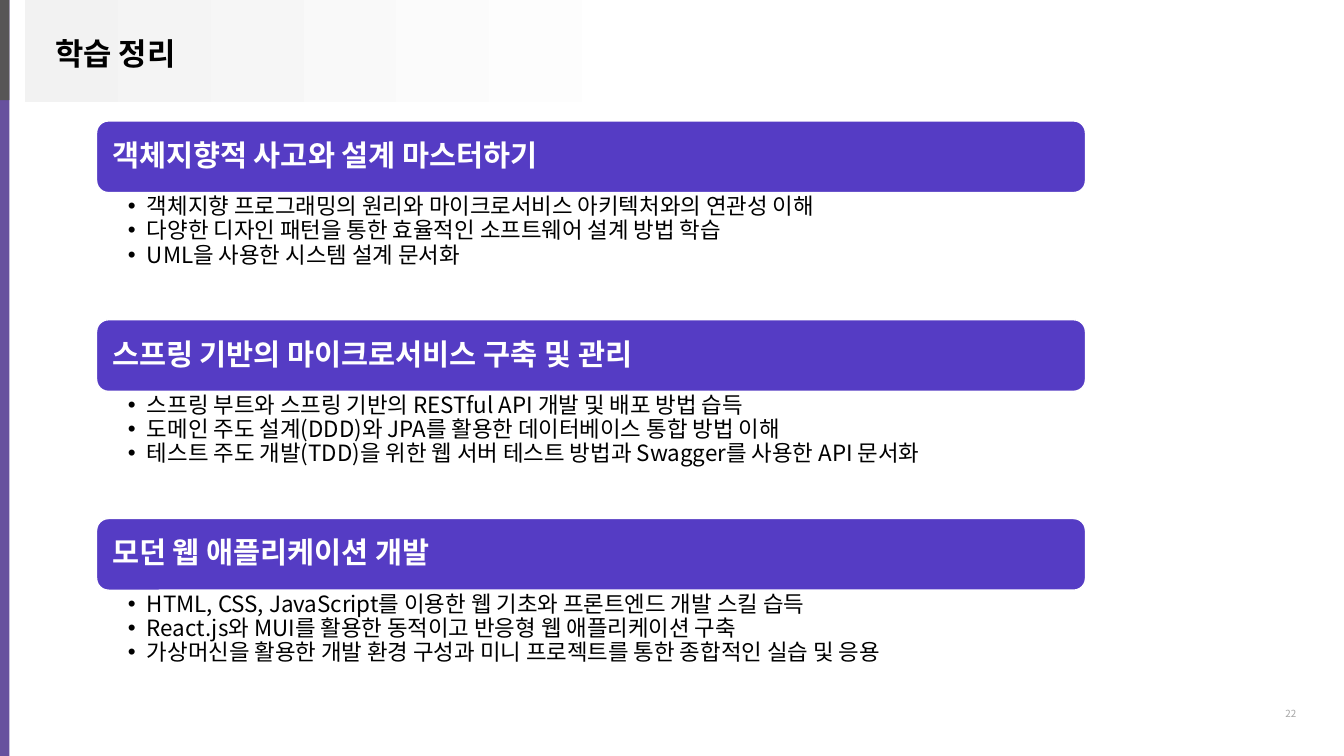
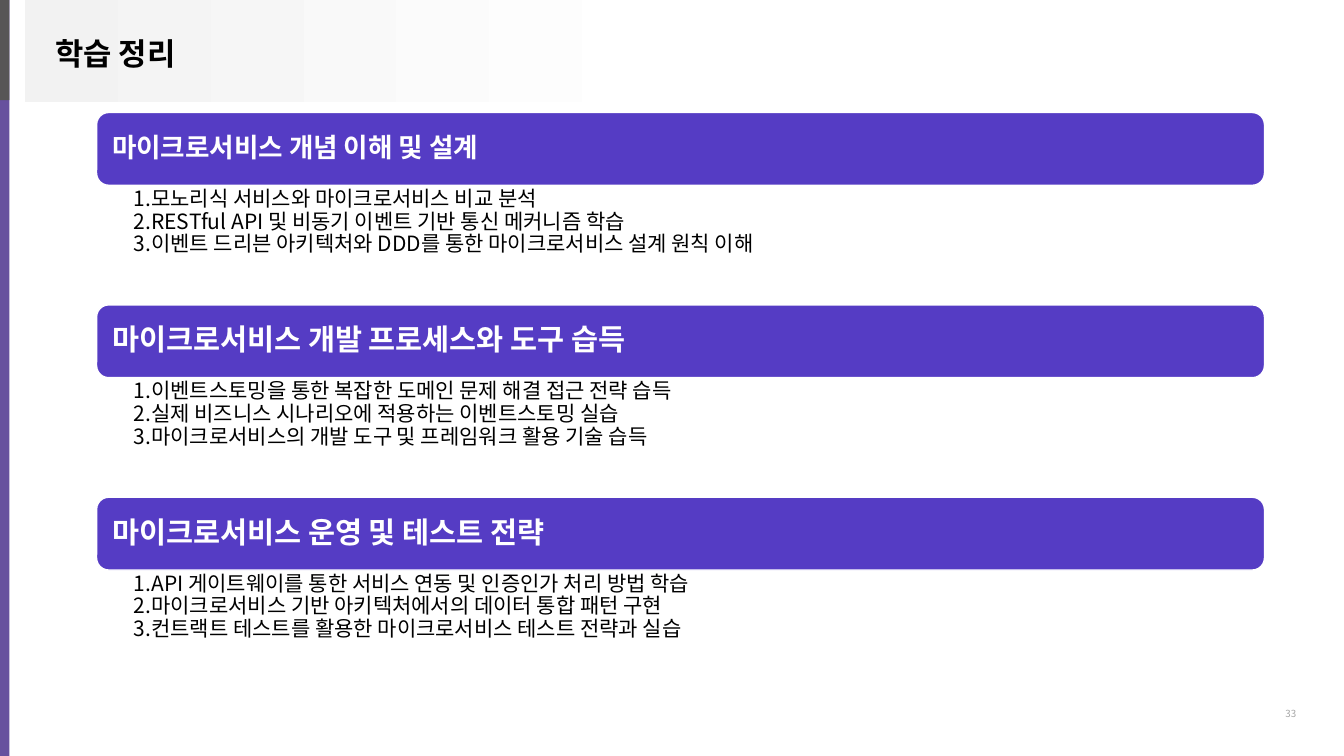
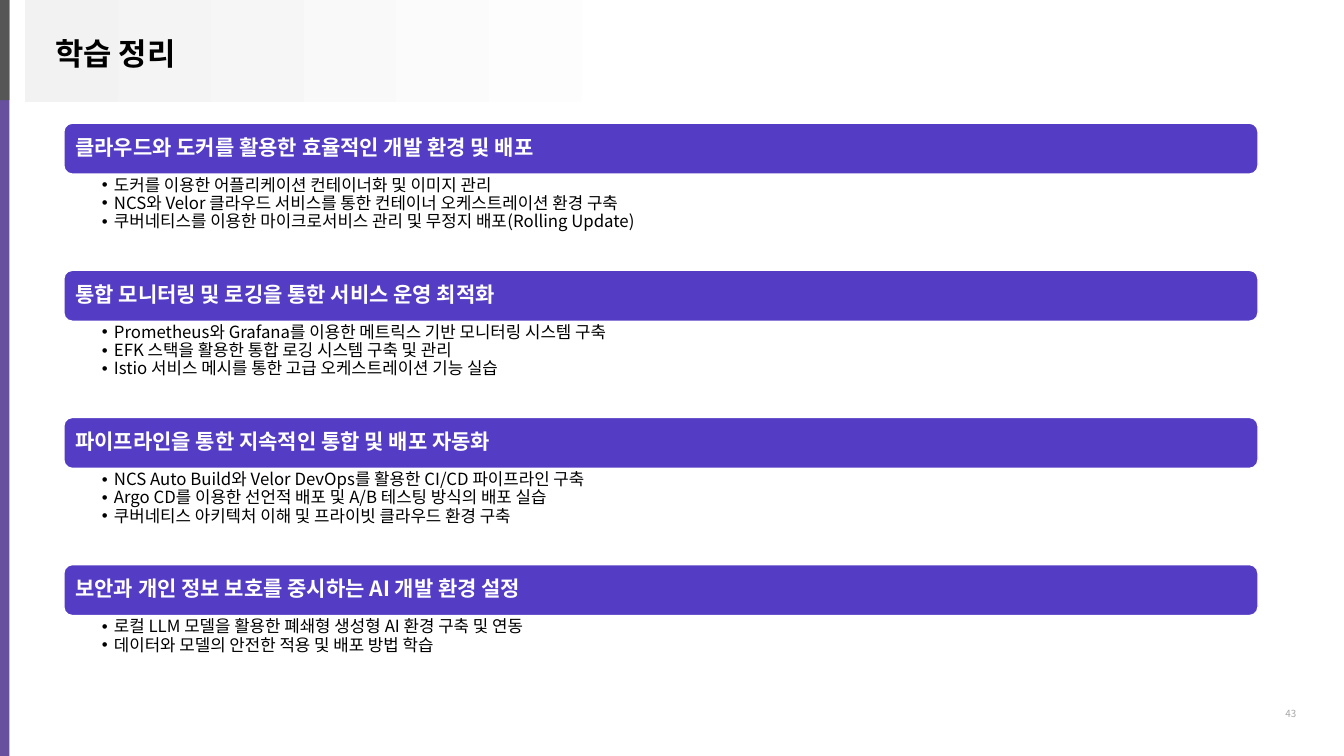
from pptx import Presentation
from pptx.dml.color import RGBColor
from pptx.enum import shapes, text
from pptx.oxml.ns import qn
from pptx.util import Pt
from lxml import etree

FONT = "Noto Sans CJK KR"
PURPLE, SIDE_PURPLE, SIDE_GREY = "553CC4", "67519E", "575656"
WHITE, PALE, BLACK, PAGE_GREY = "FFFFFF", "F2F2F2", "000000", "A6A6A6"
TITLE = "학습 정리"
DOT = ("buChar", "char", "•")
NUMBER = ("buAutoNum", "type", "arabicPeriod")

# Content: each section is (heading, heading size, points); lengths in points
SLIDES = [
    dict(page="22", left=69, top=86.4, width=706.4, band=51.2, pitch=142,
         heading_inset=8.6, point_inset=22.4, hang=13.6, size=16, bullet=DOT,
         sections=[
             ("객체지향적 사고와 설계 마스터하기", 21, [
                 "객체지향 프로그래밍의 원리와 마이크로서비스 아키텍처와의 연관성 이해",
                 "다양한 디자인 패턴을 통한 효율적인 소프트웨어 설계 방법 학습",
                 "UML을 사용한 시스템 설계 문서화"]),
             ("스프링 기반의 마이크로서비스 구축 및 관리", 21, [
                 "스프링 부트와 스프링 기반의 RESTful API 개발 및 배포 방법 습득",
                 "도메인 주도 설계(DDD)와 JPA를 활용한 데이터베이스 통합 방법 이해",
                 "테스트 주도 개발(TDD)을 위한 웹 서버 테스트 방법과 Swagger를 사용한 API 문서화"]),
             ("모던 웹 애플리케이션 개발", 21, [
                 "HTML, CSS, JavaScript를 이용한 웹 기초와 프론트엔드 개발 스킬 습득",
                 "React.js와 MUI를 활용한 동적이고 반응형 웹 애플리케이션 구축",
                 "가상머신을 활용한 개발 환경 구성과 미니 프로젝트를 통한 종합적인 실습 및 응용"]),
         ]),
    dict(page="33", left=69, top=80.4, width=834.2, band=52, pitch=137.4,
         heading_inset=8.6, point_inset=26.6, hang=8.6, size=15, bullet=NUMBER,
         sections=[
             ("마이크로서비스 개념 이해 및 설계", 19, [
                 "모노리식 서비스와 마이크로서비스 비교 분석",
                 "RESTful API 및 비동기 이벤트 기반 통신 메커니즘 학습",
                 "이벤트 드리븐 아키텍처와 DDD를 통한 마이크로서비스 설계 원칙 이해"]),
             ("마이크로서비스 개발 프로세스와 도구 습득", 21, [
                 "이벤트스토밍을 통한 복잡한 도메인 문제 해결 접근 전략 습득",
                 "실제 비즈니스 시나리오에 적용하는 이벤트스토밍 실습",
                 "마이크로서비스의 개발 도구 및 프레임워크 활용 기술 습득"]),
             ("마이크로서비스 운영 및 테스트 전략", 21, [
                 "API 게이트웨이를 통한 서비스 연동 및 인증인가 처리 방법 학습",
                 "마이크로서비스 기반 아키텍처에서의 데이터 통합 패턴 구현",
                 "컨트랙트 테스트를 활용한 마이크로서비스 테스트 전략과 실습"]),
         ]),
    dict(page="43", left=45.6, top=88, width=853, band=36.4, pitch=105.1,
         heading_inset=6.5, point_inset=27.2, hang=8.6, size=12, bullet=DOT,
         sections=[
             ("클라우드와 도커를 활용한 효율적인 개발 환경 및 배포", 15, [
                 "도커를 이용한 어플리케이션 컨테이너화 및 이미지 관리",
                 "NCS와 Velor 클라우드 서비스를 통한 컨테이너 오케스트레이션 환경 구축",
                 "쿠버네티스를 이용한 마이크로서비스 관리 및 무정지 배포(Rolling Update)"]),
             ("통합 모니터링 및 로깅을 통한 서비스 운영 최적화", 15, [
                 "Prometheus와 Grafana를 이용한 메트릭스 기반 모니터링 시스템 구축",
                 "EFK 스택을 활용한 통합 로깅 시스템 구축 및 관리",
                 "Istio 서비스 메시를 통한 고급 오케스트레이션 기능 실습"]),
             ("파이프라인을 통한 지속적인 통합 및 배포 자동화", 15, [
                 "NCS Auto Build와 Velor DevOps를 활용한 CI/CD 파이프라인 구축",
                 "Argo CD를 이용한 선언적 배포 및 A/B 테스팅 방식의 배포 실습",
                 "쿠버네티스 아키텍처 이해 및 프라이빗 클라우드 환경 구축"]),
             ("보안과 개인 정보 보호를 중시하는 AI 개발 환경 설정", 15, [
                 "로컬 LLM 모델을 활용한 폐쇄형 생성형 AI 환경 구축 및 연동",
                 "데이터와 모델의 안전한 적용 및 배포 방법 학습"]),
         ]),
]


def color(value):
    return RGBColor.from_string(value)


def add_block(slide, box, fill=None, line=None, kind="RECTANGLE"):
    shape = slide.shapes.add_shape(getattr(shapes.MSO_SHAPE, kind), *map(Pt, box))
    shape.shadow.inherit = False
    if fill:
        shape.fill.solid()
        shape.fill.fore_color.rgb = color(fill)
    if line:
        shape.line.color.rgb = color(line)
        shape.line.width = Pt(1)
    else:
        shape.line.fill.background()
    return shape


def add_bullet(paragraph, bullet, hang):
    tag, attribute, value = bullet
    properties = paragraph._p.get_or_add_pPr()
    properties.set("marL", str(Pt(hang)))
    properties.set("indent", str(-Pt(hang)))
    if bullet == DOT:
        etree.SubElement(properties, qn("a:buFont")).set("typeface", "Arial")
    etree.SubElement(properties, qn(f"a:{tag}")).set(attribute, value)


def write(shape, lines, size, ink, bold=False, align="LEFT", anchor="TOP",
          margins=(7.2, 3.6), spacing=None, bullet=None, hang=0):
    frame = shape.text_frame
    frame.word_wrap = True
    frame.vertical_anchor = text.MSO_ANCHOR[anchor]
    frame.margin_left = frame.margin_right = Pt(margins[0])
    frame.margin_top = frame.margin_bottom = Pt(margins[1])
    frame.text = "\n".join(lines)
    for paragraph in frame.paragraphs:
        paragraph.alignment = text.PP_ALIGN[align]
        if spacing:
            paragraph.line_spacing = spacing
        if bullet:
            add_bullet(paragraph, bullet, hang)
        font = paragraph.font
        font.size, font.bold, font.name = Pt(size), bold, FONT
        font.color.rgb = color(ink)
        # Korean glyphs use the East Asian typeface
        defaults = paragraph._p.pPr.find(qn("a:defRPr"))
        etree.SubElement(defaults, qn("a:ea")).set("typeface", FONT)


def add_text(slide, box, lines, size, ink, **style):
    write(slide.shapes.add_textbox(*map(Pt, box)), lines, size, ink, **style)


def add_frame(slide, page):
    # Side bars, fading title band, title and page number
    add_block(slide, (0, 0, 6.8, 540), SIDE_PURPLE)
    add_block(slide, (0, 0, 6.8, 71.6), SIDE_GREY)
    fill = add_block(slide, (18, 0, 761, 72.7)).fill
    fill.gradient()
    fill.gradient_angle = 180
    for stop, (position, shade) in zip(fill.gradient_stops, [(0.39, WHITE), (1, PALE)]):
        stop.position = position
        stop.color.rgb = color(shade)
    add_text(slide, (32.4, 20.9, 381.6, 35), [TITLE], 22, BLACK, bold=True)
    add_text(slide, (892, 501.8, 60, 16), [page], 7, PAGE_GREY, align="CENTER")


def add_sections(slide, layout):
    left, width, band = layout["left"], layout["width"], layout["band"]
    row = (layout["pitch"] - band) / 3
    for index, (heading, size, points) in enumerate(layout["sections"]):
        top = layout["top"] + index * layout["pitch"]
        bar = add_block(slide, (left, top, width, band), PURPLE, WHITE, "ROUNDED_RECTANGLE")
        write(bar, [heading], size, WHITE, bold=True, anchor="MIDDLE",
              margins=(layout["heading_inset"], 0), spacing=0.9)
        add_text(slide, (left, top + band, width, row * len(points)), points,
                 layout["size"], BLACK, margins=(layout["point_inset"], 2), spacing=0.9,
                 bullet=layout["bullet"], hang=layout["hang"])


def main():
    presentation = Presentation()
    presentation.slide_width, presentation.slide_height = Pt(960), Pt(540)
    for layout in SLIDES:
        slide = presentation.slides.add_slide(presentation.slide_layouts[6])
        add_frame(slide, layout["page"])
        add_sections(slide, layout)
    presentation.save("out.pptx")


if __name__ == "__main__":
    main()
